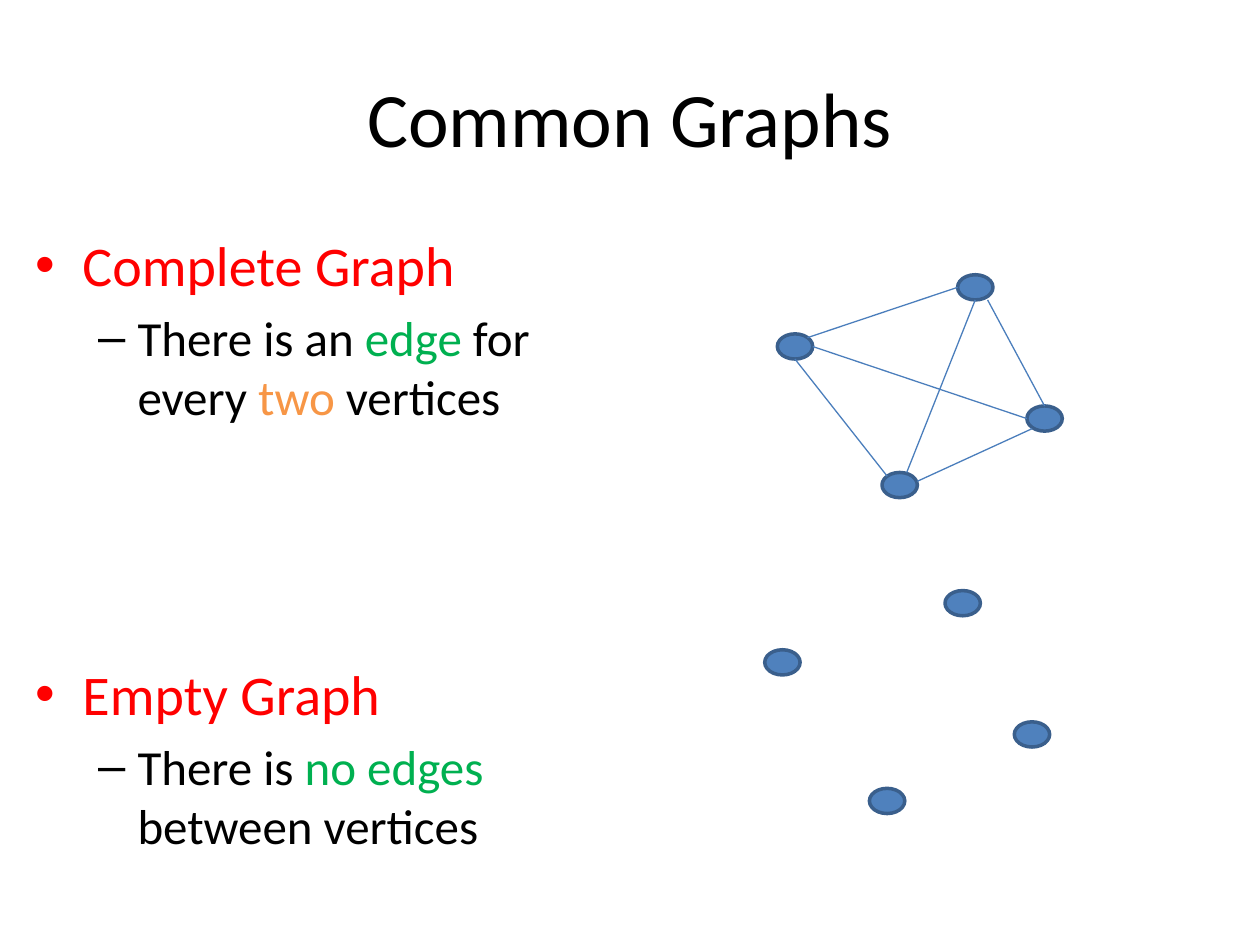
from lxml import etree
from pptx import Presentation
from pptx.dml.color import RGBColor
from pptx.enum.shapes import MSO_CONNECTOR, MSO_SHAPE
from pptx.enum.text import MSO_ANCHOR, PP_ALIGN
from pptx.oxml.ns import qn
from pptx.util import Pt

STRAIGHT = MSO_CONNECTOR.STRAIGHT
OVAL = MSO_SHAPE.OVAL
MIDDLE = MSO_ANCHOR.MIDDLE
CENTER = PP_ALIGN.CENTER

FONT = "Calibri"
BLACK = RGBColor(0x00, 0x00, 0x00)
RED = RGBColor(0xFF, 0x00, 0x00)
GREEN = RGBColor(0x00, 0xB0, 0x50)
ORANGE = RGBColor(0xF7, 0x96, 0x46)
VERTEX_FILL = RGBColor(0x4F, 0x81, 0xBD)
VERTEX_LINE = RGBColor(0x3A, 0x5F, 0x8C)
EDGE_LINE = RGBColor(0x4B, 0x7E, 0xBC)

# level: bullet, text size, left margin, hanging indent
LEVELS = [("•", 32, 27, 27), ("–", 28, 58.5, 22.5)]

# level, space before, runs
DEFINITIONS = [
    (0, 0, [("Complete Graph", RED)]),
    (1, 5.6, [("There is an ", BLACK), ("edge", GREEN), (" for every ", BLACK),
              ("two", ORANGE), (" vertices", BLACK)]),
    (0, 134, [("Empty Graph", RED)]),
    (1, 5.6, [("There is ", BLACK), ("no edges ", GREEN), ("between vertices", BLACK)]),
]

VERTEX_W, VERTEX_H = 20.2, 14.4
VERTICES = {"west": (0, 33.8), "east": (142.6, 75), "south": (59.8, 113), "north": (103, 0)}

# Points where an edge meets a vertex, as fractions of the vertex's box
TOP, BOTTOM, LEFT, RIGHT = (0.5, 0), (0.5, 1), (0, 0.5), (1, 0.5)
TOP_LEFT, TOP_RIGHT = (0.15, 0.15), (0.85, 0.15)
BOTTOM_LEFT, BOTTOM_RIGHT = (0.15, 0.9), (0.85, 1)
COMPLETE_EDGES = [
    ("east", TOP, "north", BOTTOM_RIGHT),
    ("north", LEFT, "west", TOP_RIGHT),
    ("south", (0.7, 0), "north", BOTTOM),
    ("west", BOTTOM, "south", TOP_LEFT),
    ("west", RIGHT, "east", LEFT),
    ("east", BOTTOM_LEFT, "south", (1, 0.35)),
]


def style_run(run, size, color):
    run.font.name = FONT
    run.font.size = Pt(size)
    run.font.color.rgb = color


def add_title(slide, left, top, width, height):
    title = slide.shapes.title
    title.left, title.top, title.width, title.height = map(Pt, (left, top, width, height))
    title.text_frame.vertical_anchor = MIDDLE
    paragraph = title.text_frame.paragraphs[0]
    paragraph.alignment = CENTER
    run = paragraph.add_run()
    run.text = "Common Graphs"
    style_run(run, 44, BLACK)


def set_bullet(paragraph, level):
    bullet, _, margin, hanging = LEVELS[level]
    paragraph.level = level
    properties = paragraph._p.get_or_add_pPr()
    properties.set("marL", str(Pt(margin)))
    properties.set("indent", str(-Pt(hanging)))
    etree.SubElement(properties, qn("a:buFont")).set("typeface", "Arial")
    etree.SubElement(properties, qn("a:buChar")).set("char", bullet)


def add_definitions(slide, left, top, width, height):
    frame = slide.shapes.add_textbox(Pt(left), Pt(top), Pt(width), Pt(height)).text_frame
    frame.word_wrap = True
    for index, (level, space_before, runs) in enumerate(DEFINITIONS):
        paragraph = frame.add_paragraph() if index else frame.paragraphs[0]
        set_bullet(paragraph, level)
        paragraph.space_before = Pt(space_before)
        for text, color in runs:
            run = paragraph.add_run()
            run.text = text
            style_run(run, LEVELS[level][1], color)


def add_graph(slide, left, top, edges):
    """Draw the four vertices, and the given edges, from the box's top left corner."""
    graph = slide.shapes.add_group_shape().shapes

    def locate(vertex, site):
        x, y = VERTICES[vertex]
        return Pt(left + x + site[0] * VERTEX_W), Pt(top + y + site[1] * VERTEX_H)

    for vertex in VERTICES:
        oval = graph.add_shape(OVAL, *locate(vertex, (0, 0)), Pt(VERTEX_W), Pt(VERTEX_H))
        oval.shadow.inherit = False
        oval.fill.solid()
        oval.fill.fore_color.rgb = VERTEX_FILL
        oval.line.color.rgb = VERTEX_LINE
        oval.line.width = Pt(2)

    for start, start_site, end, end_site in edges:
        edge = graph.add_connector(STRAIGHT, *locate(start, start_site), *locate(end, end_site))
        edge.line.color.rgb = EDGE_LINE
        edge.line.width = Pt(0.75)
        etree.SubElement(edge._element.spPr, qn("a:effectLst"))


def main():
    presentation = Presentation()
    presentation.slide_width, presentation.slide_height = Pt(720), Pt(540)
    slide = presentation.slides.add_slide(presentation.slide_layouts[5])
    add_title(slide, 36, 21.6, 648, 90)
    add_definitions(slide, 13, 128, 342, 414)
    add_graph(slide, 444.2, 157, COMPLETE_EDGES)
    add_graph(slide, 437, 337.5, [])
    presentation.save("out.pptx")


if __name__ == "__main__":
    main()
